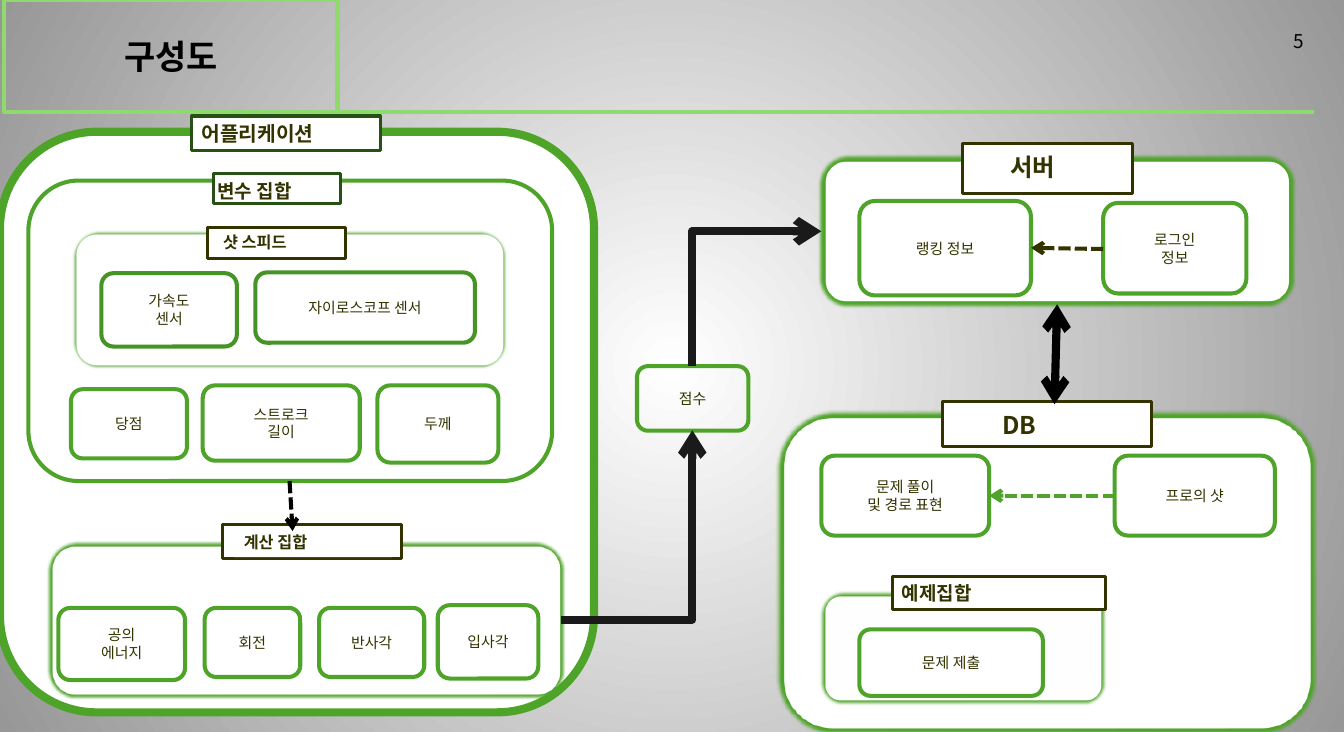
from dataclasses import dataclass

from lxml import etree
from pptx import Presentation
from pptx.dml.color import RGBColor
from pptx.enum.dml import MSO_LINE
from pptx.enum.shapes import MSO_CONNECTOR, MSO_SHAPE
from pptx.enum.text import MSO_ANCHOR, MSO_AUTO_SIZE, PP_ALIGN
from pptx.oxml.ns import qn
from pptx.util import Cm, Pt

ROUND, RECT = MSO_SHAPE.ROUNDED_RECTANGLE, MSO_SHAPE.RECTANGLE
STRAIGHT, DASH = MSO_CONNECTOR.STRAIGHT, MSO_LINE.SQUARE_DOT
LEFT, CENTER, RIGHT = PP_ALIGN.LEFT, PP_ALIGN.CENTER, PP_ALIGN.RIGHT
TOP, MIDDLE = MSO_ANCHOR.TOP, MSO_ANCHOR.MIDDLE
NO_FIT = MSO_AUTO_SIZE.NONE

Area = tuple[float, float, float, float]


@dataclass(frozen=True)
class Theme:
    font: str = "Noto Sans CJK KR"
    white: str = "FFFFFF"
    gray: str = "979797"
    black: str = "000000"
    coal: str = "1A1A1A"
    olive: str = "333300"
    lime: str = "8EDA6D"
    green: str = "4EA429"
    moss: str = "469425"
    forest: str = "275114"
    title: float = 25
    number: float = 14
    body: float = 11
    thin: float = 2.25
    line: float = 3
    mid: float = 4.5
    thick: float = 6
    blur: float = 2.5


T = Theme()


@dataclass(frozen=True)
class Panel:
    area: Area
    width: float
    soft: bool = True


@dataclass(frozen=True)
class Box:
    text: str
    area: Area
    color: str = T.green
    fill: str | None = T.white


@dataclass(frozen=True)
class Label:
    text: str
    size: float
    frame: Area
    inner: Area | None = None
    color: str = T.olive
    fill: str | None = None
    indent: float = 0


@dataclass(frozen=True)
class Arrow:
    ends: Area
    color: str
    width: float = T.line
    dash: bool = False
    bent: bool = False
    tips: tuple[str, ...] = ("tailEnd",)


PANELS = [
    Panel((0, 3.43, 15.47, 15.11), T.thick, False),
    Panel((20.29, 10.77, 13.92, 8.28), T.thick),
    Panel((21.41, 15.44, 7.34, 2.84), T.mid),
    Panel((21.39, 4.11, 12.27, 3.81), T.thick),
    Panel((0.74, 4.7, 13.64, 7.82), T.line, False),
    Panel((1.93, 6.05, 11.2, 3.48), T.line),
    Panel((1.3, 14.15, 13.34, 3.99), T.mid),
]
BOXES = [
    Box("프로의 샷", (29.03, 11.86, 4.17, 2.08)),
    Box("문제 풀이\n및 경로 표현", (21.39, 11.86, 4.37, 2.08)),
    Box("문제 제출", (22.38, 16.38, 4.78, 1.73)),
    Box("로그인\n정보", (28.73, 5.28, 3.73, 2.36)),
    Box("랭킹 정보", (22.38, 5.23, 4.47, 2.46)),
    Box("당점", (1.85, 10.13, 3.02, 1.8)),
    Box("두께", (9.83, 10.03, 3.15, 2.01)),
    Box("스트로크\n길이", (5.28, 10.03, 4.09, 1.96)),
    Box("자이로스코프 센서", (6.65, 7.09, 5.72, 1.83), T.moss),
    Box("가속도\n센서", (2.64, 7.11, 3.53, 1.91), T.moss),
    Box("입사각", (11.4, 15.75, 2.62, 1.91)),
    Box("반사각", (8.31, 15.82, 2.74, 1.8)),
    Box("회전", (5.33, 15.82, 2.49, 1.8)),
    Box("공의\n에너지", (1.52, 15.82, 3.3, 1.88)),
    Box("점수", (16.59, 9.53, 2.9, 1.68), fill=None),
]
LABELS = [
    Label("DB", 18, (24.54, 10.44, 5.44, 1.17), (25.12, 10.54, 4.37, 1.02), fill=T.white, indent=0.74),
    Label("예제집합", 14, (23.24, 15.01, 5.56, 0.86)),
    Label("서버", 18, (25.07, 3.73, 4.42, 1.3), (26.06, 3.84, 3.02, 1.02), fill=T.white),
    Label("샷 스피드", 12, (5.41, 5.92, 3.58, 0.81), (5.56, 5.92, 3.45, 0.76)),
    Label("변수 집합", 14, (5.56, 4.52, 3.3, 0.79), (5.41, 4.55, 5, 0.86), T.forest),
    Label("계산 집합", 12, (5.79, 13.64, 4.67, 0.89), (6.1, 13.74, 4.11, 0.76), fill=T.white),
    Label("어플리케이션", 15, (5, 3.02, 4.9, 0.89), (5, 3.02, 5.89, 0.89), T.forest),
]
ARROWS = [
    Arrow((0.41, 2.92, 34.21, 2.92), T.lime, tips=()),
    Arrow((29.03, 12.9, 25.76, 12.9), T.green, dash=True),
    Arrow((28.73, 6.48, 26.85, 6.45), T.olive, dash=True),
    Arrow((14.61, 16.13, 18.03, 11.2), T.coal, T.thick, bent=True),
    Arrow((21.39, 6.02, 18.03, 9.53), T.coal, T.thick, bent=True, tips=("headEnd",)),
    Arrow((27.53, 7.92, 27.46, 10.52), T.black, T.thick, tips=("headEnd", "tailEnd")),
    Arrow((7.54, 12.52, 7.62, 13.82), T.black, dash=True),
]


def rgb(color: str) -> RGBColor:
    return RGBColor.from_string(color)


def stroke(line, color: str, width: float) -> None:
    line.color.rgb = rgb(color)
    line.width = Pt(width)


def write(shape, text: str, size: float, color: str, bold=False, align=CENTER, anchor=MIDDLE) -> None:
    frame = shape.text_frame
    frame.text = text
    frame.word_wrap = True
    frame.auto_size = NO_FIT
    frame.vertical_anchor = anchor
    for para in frame.paragraphs:
        para.alignment = align
        for run in para.runs:
            font = run.font
            font.name, font.size, font.bold = T.font, Pt(size), bold
            font.color.rgb = rgb(color)
            east = etree.SubElement(font._element, qn("a:ea"))
            east.set("typeface", T.font)


def draw_shape(slide, kind, area: Area, fill: str | None, color: str | None = None, width: float = T.line):
    shape = slide.shapes.add_shape(kind, *map(Cm, area))
    shape.shadow.inherit = False
    if fill:
        shape.fill.solid()
        shape.fill.fore_color.rgb = rgb(fill)
    else:
        shape.fill.background()
    if color:
        stroke(shape.line, color, width)
    else:
        shape.line.fill.background()
    return shape


def draw_panel(slide, panel: Panel) -> None:
    shape = draw_shape(slide, ROUND, panel.area, T.white, T.green, panel.width)
    if panel.soft:
        glow = shape._element.spPr.find(qn("a:effectLst"))
        etree.SubElement(glow, qn("a:softEdge")).set("rad", str(Pt(T.blur)))


def draw_box(slide, box: Box) -> None:
    shape = draw_shape(slide, ROUND, box.area, box.fill, box.color)
    write(shape, box.text, T.body, T.olive)


def draw_label(slide, label: Label) -> None:
    shape = draw_shape(slide, RECT, label.frame, T.white, label.color, T.thin)
    if label.inner and label.fill:
        shape = draw_shape(slide, RECT, label.inner, label.fill)
    elif label.inner:
        shape = slide.shapes.add_textbox(*map(Cm, label.inner))
    write(shape, label.text, label.size, T.olive, True, LEFT, TOP)
    shape.text_frame.margin_left = Cm(0.25 + label.indent)


def draw_arrow(slide, arrow: Arrow) -> None:
    link = slide.shapes.add_connector(STRAIGHT, *map(Cm, arrow.ends))
    stroke(link.line, arrow.color, arrow.width)
    if arrow.dash:
        link.line.dash_style = DASH
    props = link._element.spPr
    if arrow.bent:
        props.find(qn("a:prstGeom")).set("prst", "bentConnector2")
    for tip in arrow.tips:
        etree.SubElement(props.find(qn("a:ln")), qn(f"a:{tip}")).set("type", "arrow")
    etree.SubElement(props, qn("a:effectLst"))


def draw_back(slide) -> None:
    fill = slide.background.fill
    fill.gradient()
    for stop, color in zip(fill.gradient_stops, (T.white, T.gray)):
        stop.color.rgb = rgb(color)
    lin = next(slide._element.iter(qn("a:lin")))
    ring = etree.Element(qn("a:path"), {"path": "circle"})
    mid = etree.SubElement(ring, qn("a:fillToRect"))
    for side in "ltrb":
        mid.set(side, "50000")
    lin.getparent().replace(lin, ring)


def draw_head(slide) -> None:
    title = slide.shapes.title
    title.left, title.top, title.width, title.height = map(Cm, (0.1, 0, 8.69, 2.92))
    shape = etree.SubElement(title._element.spPr, qn("a:prstGeom"), {"prst": "snip2SameRect"})
    etree.SubElement(shape, qn("a:avLst"))
    stroke(title.line, T.lime, T.line)
    write(title, "구성도", T.title, T.black, True)
    number = slide.shapes.add_textbox(*map(Cm, (26.06, 0.71, 8.15, 0.69)))
    write(number, "5", T.number, T.black, align=RIGHT)


def main() -> None:
    deck = Presentation()
    deck.slide_width, deck.slide_height = Cm(35), Cm(19.05)
    slide = deck.slides.add_slide(deck.slide_layouts[5])
    draw_back(slide)
    draw_head(slide)
    for items, draw in ((PANELS, draw_panel), (BOXES, draw_box), (LABELS, draw_label), (ARROWS, draw_arrow)):
        for item in items:
            draw(slide, item)
    deck.save("out.pptx")


if __name__ == "__main__":
    main()
